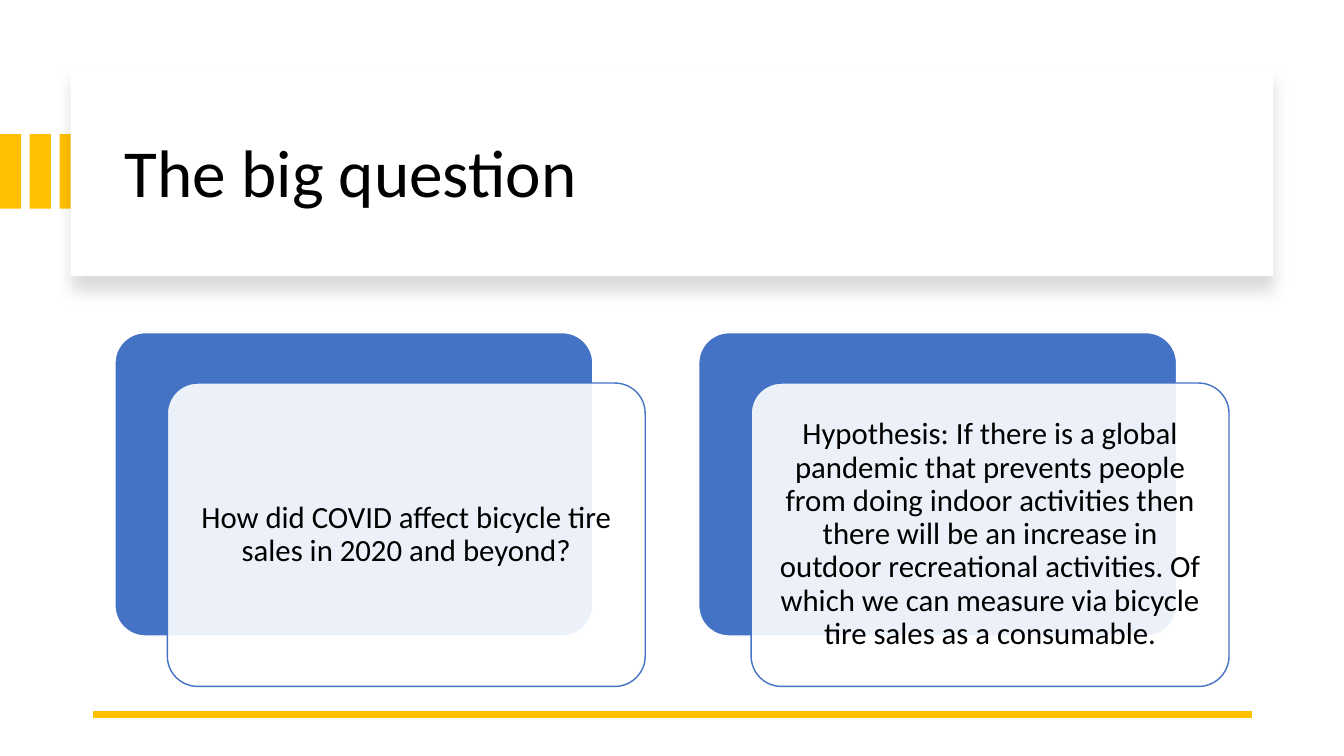
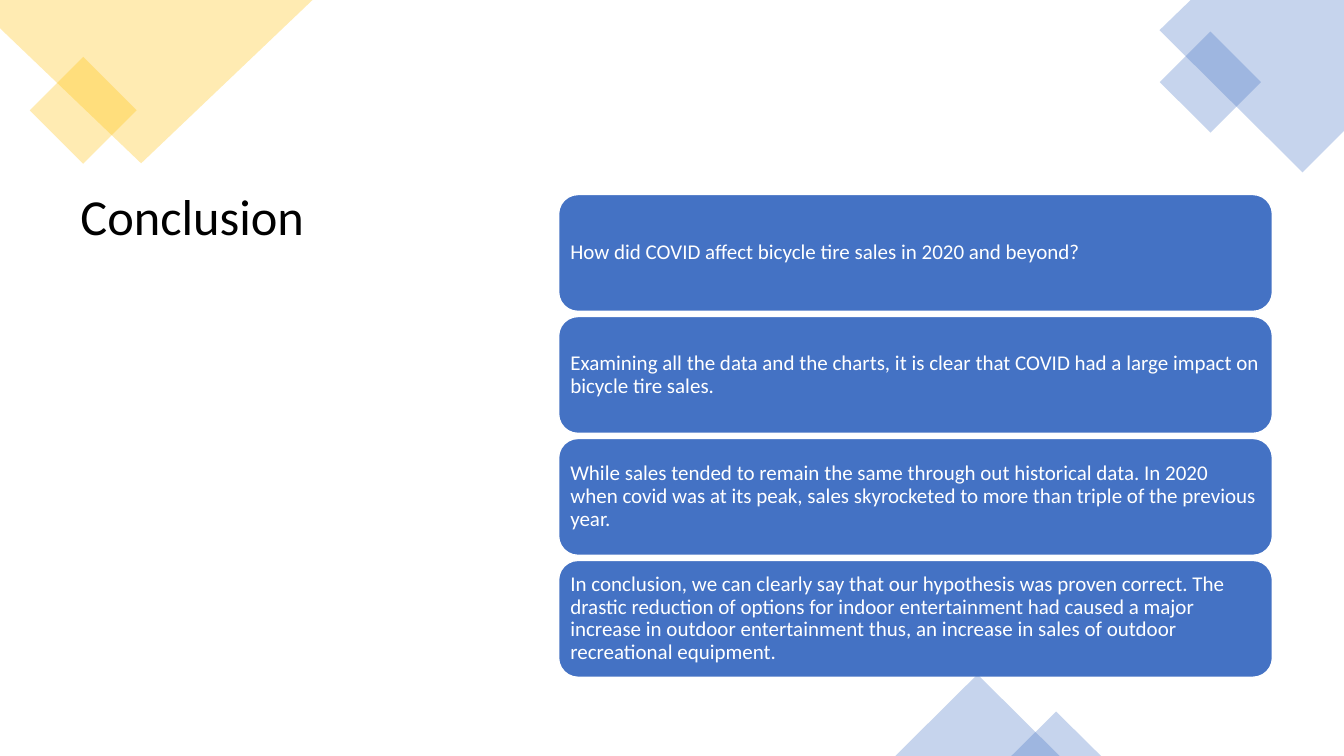
"""Build two slides on bicycle tire sales: the big question and the conclusion."""
from dataclasses import dataclass

from lxml import etree
from pptx import Presentation
from pptx import util as u
from pptx.dml.color import RGBColor
from pptx.enum import shapes, text
from pptx.oxml.ns import qn


@dataclass(frozen=True)
class Theme:
    gold: str = "FFC000"
    blue: str = "4472C4"
    white: str = "FFFFFF"
    black: str = "000000"
    font: str = "Calibri"
    question_title: int = 48
    conclusion_title: int = 36
    card_text: int = 22
    bar_text: int = 15
    tint: int = 30
    veil: int = 90


THEME = Theme()
WIDTH, HEIGHT = 13.33, 7.5
RECTANGLE = shapes.MSO_SHAPE.RECTANGLE
ROUNDED = shapes.MSO_SHAPE.ROUNDED_RECTANGLE
TRIANGLE = shapes.MSO_SHAPE.ISOSCELES_TRIANGLE

QUESTION_TITLE = "The big question"
CARDS = [
    "How did COVID affect bicycle tire sales in 2020 and beyond?",
    "Hypothesis: If there is a global pandemic that prevents people from doing indoor "
    "activities then there will be an increase in outdoor recreational activities. Of which "
    "we can measure via bicycle tire sales as a consumable.",
]
CONCLUSION_TITLE = "Conclusion"
BARS = [
    "How did COVID affect bicycle tire sales in 2020 and beyond?",
    "Examining all the data and the charts, it is clear that COVID had a large impact on "
    "bicycle tire sales. ",
    "While sales tended to remain the same through out historical data. In 2020 when covid "
    "was at its peak, sales skyrocketed to more than triple of the previous year. ",
    "In conclusion, we can clearly say that our hypothesis was proven correct. The drastic "
    "reduction of options for indoor entertainment had caused a major increase in outdoor "
    "entertainment thus, an increase in sales of outdoor recreational equipment.",
]
CORNERS = [
    (THEME.gold, [(0, 0), (3.1, 0), (1.4, 1.62), (0, 0.28)]),
    (THEME.blue, [(11.81, 0), (WIDTH, 0), (WIDTH, 1.3), (12.92, 1.71), (11.5, 0.3)]),
]
DIAMONDS = [(THEME.gold, 0.45, 0.72, 0.75), (THEME.blue, 11.65, 0.46, 0.71)]
PEAKS = [(8.88, 1.63, 0.81), (10.03, 0.89, 0.44)]


def rgb(color):
    return RGBColor.from_string(color)


def paint(shape, color, opacity=100, outline=None):
    shape.shadow.inherit = False
    shape.fill.solid()
    shape.fill.fore_color.rgb = rgb(color)
    if opacity < 100:
        solid = shape.fill._xPr.find(qn("a:solidFill"))
        etree.SubElement(solid[0], qn("a:alpha"), val=str(opacity * 1000))
    if outline:
        shape.line.color.rgb = rgb(outline)
        shape.line.width = u.Pt(1)
    else:
        shape.line.fill.background()


def add_block(slide, kind, box, color, opacity=100, outline=None):
    shape = slide.shapes.add_shape(kind, *map(u.Inches, box))
    paint(shape, color, opacity, outline)
    return shape


def write(shape, words, size, color, inset, align=text.PP_ALIGN.LEFT,
          anchor=text.MSO_ANCHOR.MIDDLE):
    frame = shape.text_frame
    frame.word_wrap = True
    frame.vertical_anchor = anchor
    frame.margin_left = frame.margin_right = u.Inches(inset[0])
    frame.margin_top = frame.margin_bottom = u.Inches(inset[1])
    paragraph = frame.paragraphs[0]
    paragraph.alignment = align
    paragraph.line_spacing = 0.9
    run = paragraph.add_run()
    run.text = words
    run.font.name = THEME.font
    run.font.size = u.Pt(size)
    run.font.color.rgb = rgb(color)


def add_title(slide, words, box, size, anchor):
    title = slide.shapes.add_textbox(*map(u.Inches, box))
    write(title, words, size, THEME.black, (0.1, 0.05), anchor=anchor)


def cast_shadow(shape):
    effects = shape._element.spPr.find(qn("a:effectLst"))
    shadow = etree.SubElement(effects, qn("a:outerShdw"), blurRad=str(u.Pt(11)),
                              dist=str(u.Pt(10)), dir="5400000", algn="t", rotWithShape="0")
    color = etree.SubElement(shadow, qn("a:srgbClr"), val=THEME.black)
    etree.SubElement(color, qn("a:alpha"), val="15000")


def add_rule(slide, left, right, top):
    rule = slide.shapes.add_connector(shapes.MSO_CONNECTOR.STRAIGHT,
                                      *map(u.Inches, (right, top, left, top)))
    rule.line.color.rgb = rgb(THEME.gold)
    rule.line.width = u.Pt(4.5)
    etree.SubElement(rule._element.spPr, qn("a:effectLst"))


def add_corner(slide, color, points):
    start, *others = [tuple(map(u.Inches, point)) for point in points]
    builder = slide.shapes.build_freeform(*start)
    builder.add_line_segments(others, close=True)
    paint(builder.convert_to_shape(), color, THEME.tint)


def build_question(slide):
    for column in range(3):
        add_block(slide, RECTANGLE, (column * 0.295, 1.33, 0.21, 0.74), THEME.gold)
    cast_shadow(add_block(slide, RECTANGLE, (0.7, 0.67, 11.93, 2.07), THEME.white))
    add_title(slide, QUESTION_TITLE, (1.14, 0.89, 11.13, 1.7), THEME.question_title,
              text.MSO_ANCHOR.MIDDLE)
    add_rule(slide, 0.92, 12.42, 7.09)
    width, height, pitch = 4.74, 3.01, 5.79
    for column, words in enumerate(CARDS):
        left, top = 1.14 + column * pitch, 3.3
        back = add_block(slide, ROUNDED, (left, top, width, height), THEME.blue,
                         outline=THEME.white)
        front = add_block(slide, ROUNDED, (left + 0.52, top + 0.5, width, height),
                          THEME.white, THEME.veil, THEME.blue)
        back.adjustments[0] = front.adjustments[0] = 0.1
        write(front, words, THEME.card_text, THEME.black, (0.09, 0.09),
              text.PP_ALIGN.CENTER)


def build_conclusion(slide):
    add_title(slide, CONCLUSION_TITLE, (0.7, 1.86, 4.33, 4.94), THEME.conclusion_title,
              text.MSO_ANCHOR.TOP)
    for color, points in CORNERS:
        add_corner(slide, color, points)
    for color, left, top, side in DIAMONDS:
        add_block(slide, RECTANGLE, (left, top, side, side), color, THEME.tint).rotation = 45
    for row, words in enumerate(BARS):
        bar = add_block(slide, ROUNDED, (5.54, 1.93 + row * 1.21, 7.08, 1.16), THEME.blue,
                        outline=THEME.white)
        write(bar, words, THEME.bar_text, THEME.white, (0.06, 0.06))
    for left, width, height in PEAKS:
        add_block(slide, TRIANGLE, (left, HEIGHT - height, width, height), THEME.blue,
                  THEME.tint)


presentation = Presentation()
presentation.slide_width = u.Inches(WIDTH)
presentation.slide_height = u.Inches(HEIGHT)
for build in (build_question, build_conclusion):
    build(presentation.slides.add_slide(presentation.slide_layouts[6]))
presentation.save("out.pptx")
